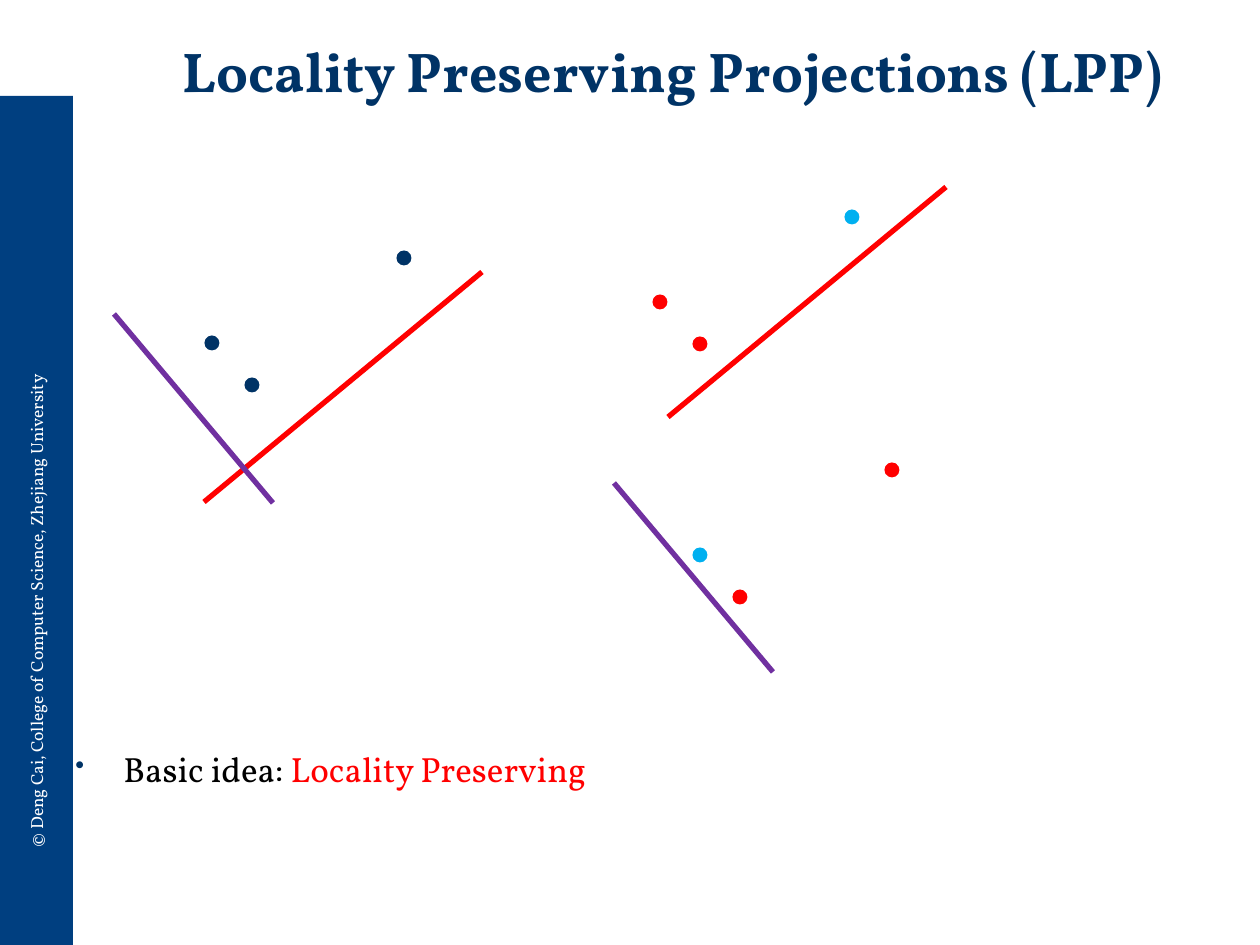
from dataclasses import dataclass

from lxml.etree import SubElement
from pptx import Presentation
from pptx.dml.color import RGBColor
from pptx.enum.shapes import MSO_CONNECTOR, MSO_SHAPE
from pptx.enum.text import MSO_ANCHOR, PP_ALIGN
from pptx.oxml.ns import qn
from pptx.util import Emu, Pt


@dataclass(frozen=True)
class Theme:
    font: str = "Vollkorn"
    navy: str = "003366"
    sidebar: str = "003F80"
    red: str = "FF0000"
    sky: str = "00B0F0"
    purple: str = "7030A0"
    black: str = "000000"
    white: str = "FFFFFF"
    title_size: int = 32
    body_size: int = 20
    credit_size: int = 10
    line_width: int = 3


THEME = Theme()
SLIDE = (1260, 945)
SIDEBAR = (0, 96, 73, 849)

TITLE = "Locality Preserving Projections (LPP)"
CREDIT = "© Deng Cai, College of Computer Science, Zhejiang University"
IDEA = [("Basic idea: ", THEME.black), ("Locality Preserving", THEME.red)]

# Every cluster has the same three points, relative to its first one.
DOT = 15
CLUSTER_OFFSETS = [(0, 0), (192, -85), (40, 42)]
CLUSTERS = [  # centre of the first point, colour of each point
    ((660, 302), (THEME.red, THEME.sky, THEME.red)),
    ((212, 343), (THEME.navy, THEME.navy, THEME.navy)),
    ((700, 555), (THEME.sky, THEME.red, THEME.red)),
]

# Each projection direction is drawn twice, with the same run and rise.
PROJECTIONS = [  # colour, (run, rise), starting points
    (THEME.red, (278, -230), [(204, 502), (668, 417)]),
    (THEME.purple, (159, 189), [(114, 314), (614, 483)]),
]


def px(length):
    return Emu(round(length * 914400 / 126))


def rgb(colour):
    return RGBColor.from_string(colour)


def add_text(slide, box, runs, *, size, bold=False, align=PP_ALIGN.LEFT,
             anchor=MSO_ANCHOR.TOP, rotation=0, line_spacing=None):
    """Add one paragraph of (text, colour) runs and return it."""
    text_box = slide.shapes.add_textbox(*map(px, box))
    text_box.rotation = rotation
    frame = text_box.text_frame
    frame.word_wrap = True
    frame.vertical_anchor = anchor
    paragraph = frame.paragraphs[0]
    paragraph.alignment = align
    paragraph.line_spacing = line_spacing
    for text, colour in runs:
        run = paragraph.add_run()
        run.text = text
        run.font.name = THEME.font
        run.font.size = Pt(size)
        run.font.bold = bold
        run.font.color.rgb = rgb(colour)
    return paragraph


def add_bullet(paragraph, colour, percent, indent):
    properties = paragraph._p.get_or_add_pPr()
    properties.set("marL", str(px(indent)))
    properties.set("indent", str(-px(indent)))
    bullet_colour = SubElement(properties, qn("a:buClr"))
    SubElement(bullet_colour, qn("a:srgbClr"), val=colour)
    SubElement(properties, qn("a:buSzPct"), val=str(percent * 1000))
    SubElement(properties, qn("a:buChar"), char="•")


def add_filled(shapes, preset, box, colour):
    shape = shapes.add_shape(preset, *map(px, box))
    shape.shadow.inherit = False
    shape.fill.solid()
    shape.fill.fore_color.rgb = rgb(colour)
    shape.line.fill.background()


def add_cluster(slide, origin, colours):
    group = slide.shapes.add_group_shape()
    for (dx, dy), colour in zip(CLUSTER_OFFSETS, colours):
        box = (origin[0] + dx - DOT / 2, origin[1] + dy - DOT / 2, DOT, DOT)
        add_filled(group.shapes, MSO_SHAPE.OVAL, box, colour)


def add_projection(slide, start, direction, colour):
    end = (start[0] + direction[0], start[1] + direction[1])
    line = slide.shapes.add_connector(MSO_CONNECTOR.STRAIGHT, *map(px, start + end))
    line.line.color.rgb = rgb(colour)
    line.line.width = Pt(THEME.line_width)
    SubElement(line._element.spPr, qn("a:effectLst"))


def main():
    presentation = Presentation()
    presentation.slide_width, presentation.slide_height = map(px, SLIDE)
    slide = presentation.slides.add_slide(presentation.slide_layouts[6])

    add_filled(slide.shapes, MSO_SHAPE.RECTANGLE, SIDEBAR, THEME.sidebar)
    add_text(slide, (-336, 470, 745, 34), [(CREDIT, THEME.white)],
             size=THEME.credit_size, rotation=270)
    add_text(slide, (110, 26, 1126, 85), [(TITLE, THEME.navy)],
             size=THEME.title_size, bold=True, align=PP_ALIGN.CENTER,
             anchor=MSO_ANCHOR.BOTTOM, line_spacing=0.9)
    idea = add_text(slide, (63, 741, 1134, 103), IDEA, size=THEME.body_size)
    add_bullet(idea, THEME.navy, percent=75, indent=48)

    for origin, colours in CLUSTERS:
        add_cluster(slide, origin, colours)
    for colour, direction, starts in PROJECTIONS:
        for start in starts:
            add_projection(slide, start, direction, colour)

    presentation.save("out.pptx")


if __name__ == "__main__":
    main()
